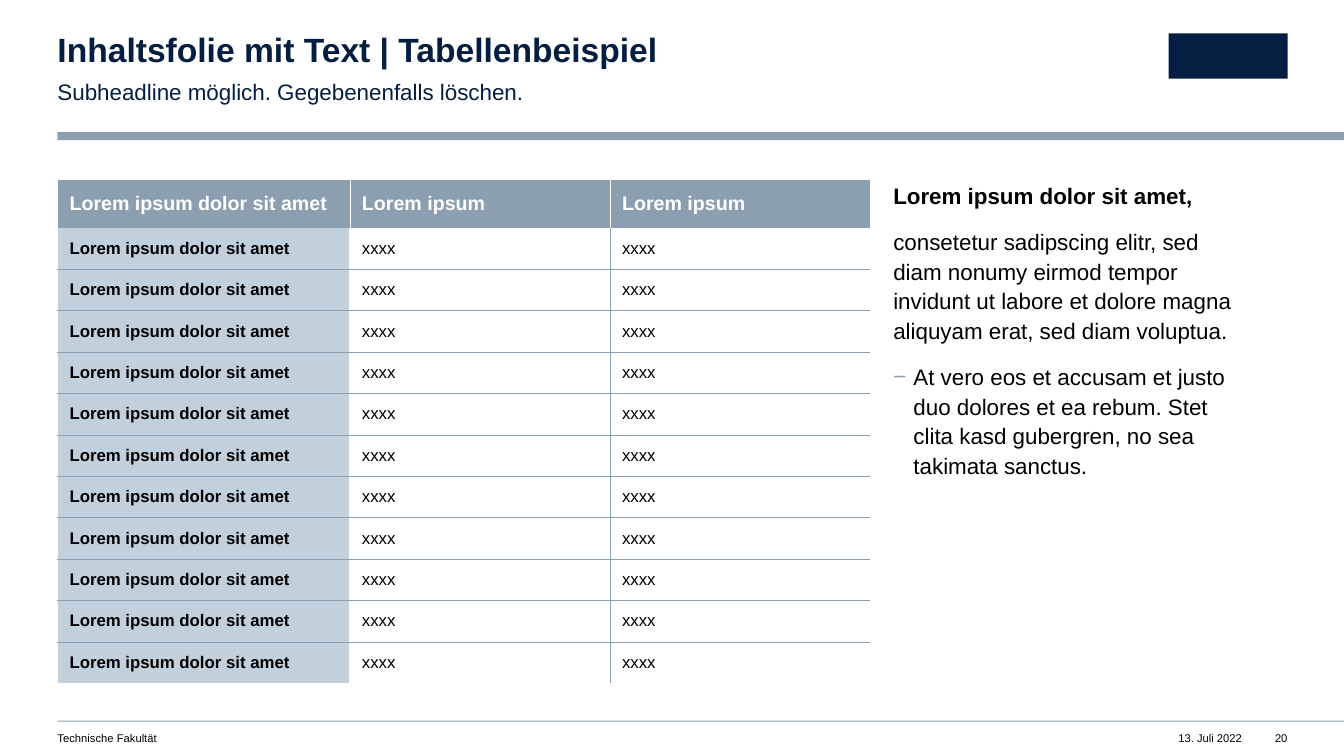
"""Build a content slide with a header, a table, a text column and a footer."""
import pptx
import pptx.dml.color
import pptx.enum.shapes
import pptx.enum.text
import pptx.oxml
import pptx.oxml.ns
import pptx.util
from lxml import etree

Inches = pptx.util.Inches
Pt = pptx.util.Pt
PP_ALIGN = pptx.enum.text.PP_ALIGN
MSO_AUTO_SIZE = pptx.enum.text.MSO_AUTO_SIZE

NAVY = pptx.dml.color.RGBColor(0x04, 0x1E, 0x42)
STEEL = pptx.dml.color.RGBColor(0x8C, 0x9F, 0xB1)
PALE = pptx.dml.color.RGBColor(0xC2, 0xD0, 0xDC)
WHITE = pptx.dml.color.RGBColor(0xFF, 0xFF, 0xFF)
BLACK = pptx.dml.color.RGBColor(0x00, 0x00, 0x00)

LEFT = 0.57
CONTENT_TOP = 1.78
FOOTER_TOP = 7.26
FOOTER_HEIGHT = 0.13


def add_text(box, lines, size, color, paragraph_format, right_inset=0, wrap=True, grow=True):
    """Add a text box holding (text, bold) lines and return its paragraphs."""
    frame = slide.shapes.add_textbox(*map(Inches, box)).text_frame
    frame_format = {
        "margin_left": 0,
        "margin_top": 0,
        "margin_right": Inches(right_inset),
        "margin_bottom": 0,
        "word_wrap": wrap,
        "auto_size": MSO_AUTO_SIZE.SHAPE_TO_FIT_TEXT if grow else MSO_AUTO_SIZE.NONE,
    }
    for name, value in frame_format.items():
        setattr(frame, name, value)
    for index, (text, bold) in enumerate(lines):
        paragraph = frame.add_paragraph() if index else frame.paragraphs[0]
        for name, value in paragraph_format.items():
            setattr(paragraph, name, value)
        style_run(paragraph.add_run(), text, size, color, bold)
    return frame.paragraphs


def style_run(run, text, size, color, bold):
    """Set the wording and font of a run."""
    run.text = text
    for name, value in {"name": "Arial", "size": Pt(size), "bold": bold}.items():
        setattr(run.font, name, value)
    run.font.color.rgb = color


presentation = pptx.Presentation()
presentation.slide_width = Inches(13.33)
presentation.slide_height = Inches(7.5)
slide = presentation.slides.add_slide(presentation.slide_layouts[6])

header_rule = (LEFT, 1.31, 12.76, 0.08)
footer_rule = (LEFT, 7.15, 12.76, 0.01)
logo_block = (11.59, 0.33, 1.18, 0.45)
for box, color in [(header_rule, STEEL), (footer_rule, STEEL), (logo_block, NAVY)]:
    shape = slide.shapes.add_shape(
        pptx.enum.shapes.MSO_SHAPE.RECTANGLE, *map(Inches, box)
    )
    shape.shadow.inherit = False
    shape.fill.solid()
    shape.fill.fore_color.rgb = color
    shape.line.fill.background()

title_format = {"line_spacing": 0.9}
body_format = {"line_spacing": 1.1, "space_after": Pt(12)}
add_text((LEFT, 0.33, 7.49, 0.36), [("Inhaltsfolie mit Text | Tabellenbeispiel", True)],
         24, NAVY, title_format)
add_text((LEFT, 0.75, 7.49, 0.27), [("Subheadline möglich. Gegebenenfalls löschen.", False)],
         16, NAVY, body_format, right_inset=0.39)

footers = [
    ("Technische Fakultät", LEFT, 5.98, PP_ALIGN.LEFT, True),
    ("13. Juli 2022", 11.39, 0.93, PP_ALIGN.RIGHT, False),
    ("20", 12.56, 0.21, PP_ALIGN.RIGHT, False),
]
for text, left, width, alignment, wrap in footers:
    add_text((left, FOOTER_TOP, width, FOOTER_HEIGHT), [(text, False)],
             8, BLACK, {"alignment": alignment}, wrap=wrap)

column_lines = [
    ("Lorem ipsum dolor sit amet,", True),
    ("consetetur sadipscing elitr, sed diam nonumy eirmod tempor invidunt ut labore "
     "et dolore magna aliquyam erat, sed diam voluptua.", False),
    ("At vero eos et accusam et justo duo dolores et ea rebum. Stet clita kasd "
     "gubergren, no sea takimata sanctus.", False),
]
bullet = add_text((8.86, CONTENT_TOP, 3.91, 5), column_lines, 16, BLACK, body_format,
                  right_inset=0.39, grow=False)[-1]
bullet.level = 1
bullet_properties = bullet._p.get_or_add_pPr()
bullet_properties.set("marL", str(Inches(0.2)))
bullet_properties.set("indent", str(Inches(-0.2)))
bullet_color = etree.SubElement(bullet_properties, pptx.oxml.ns.qn("a:buClr"))
etree.SubElement(bullet_color, pptx.oxml.ns.qn("a:srgbClr"), val=str(STEEL))
etree.SubElement(bullet_properties, pptx.oxml.ns.qn("a:buFont"), typeface="Arial")
etree.SubElement(bullet_properties, pptx.oxml.ns.qn("a:buChar"), char="−")

header = ["Lorem ipsum dolor sit amet", "Lorem ipsum", "Lorem ipsum"]
rows = [header] + [["Lorem ipsum dolor sit amet", "xxxx", "xxxx"]] * 11
last_row = len(rows) - 1
column_widths = [2.9, 2.58, 2.58]
header_height = 0.48
table_height = 5
table = slide.shapes.add_table(
    len(rows), len(header), Inches(LEFT), Inches(CONTENT_TOP),
    Inches(sum(column_widths)), Inches(table_height),
).table
table.horz_banding = False
for column, width in zip(table.columns, column_widths):
    column.width = Inches(width)
for index, row in enumerate(table.rows):
    row.height = Inches((table_height - header_height) / last_row if index else header_height)

cell_format = {
    "vertical_anchor": pptx.enum.text.MSO_ANCHOR.MIDDLE,
    "margin_left": Inches(0.12),
    "margin_right": Inches(0.12),
    "margin_top": Inches(0.04),
    "margin_bottom": Inches(0.04),
}
white_thick, white_thin, steel_thin = (WHITE, 1), (WHITE, 0.5), (STEEL, 0.25)
header_verticals = [white_thick, white_thin, white_thin, None]
body_verticals = [white_thick, white_thick, steel_thin, None]
horizontals = [white_thick, None] + [steel_thin] * (last_row - 1) + [None]

for row_index, texts in enumerate(rows):
    is_header = row_index == 0
    verticals = header_verticals if is_header else body_verticals
    for column_index, text in enumerate(texts):
        cell = table.cell(row_index, column_index)
        for name, value in cell_format.items():
            setattr(cell, name, value)
        borders = {
            "a:lnL": verticals[column_index],
            "a:lnR": verticals[column_index + 1],
            "a:lnT": horizontals[row_index],
            "a:lnB": horizontals[row_index + 1],
        }
        cell_properties = cell._tc.get_or_add_tcPr()
        for tag, border in borders.items():
            line = etree.SubElement(cell_properties, pptx.oxml.ns.qn(tag))
            if border is None:
                etree.SubElement(line, pptx.oxml.ns.qn("a:noFill"))
                continue
            color, width = border
            line.set("w", str(Pt(width)))
            line_fill = etree.SubElement(line, pptx.oxml.ns.qn("a:solidFill"))
            etree.SubElement(line_fill, pptx.oxml.ns.qn("a:srgbClr"), val=str(color))
        if is_header or column_index == 0:
            cell.fill.solid()
            cell.fill.fore_color.rgb = STEEL if is_header else PALE
        else:
            cell.fill.background()
        style_run(cell.text_frame.paragraphs[0].add_run(), text, 14 if is_header else 12,
                  WHITE if is_header else BLACK, is_header or column_index == 0)

presentation.save("out.pptx")
